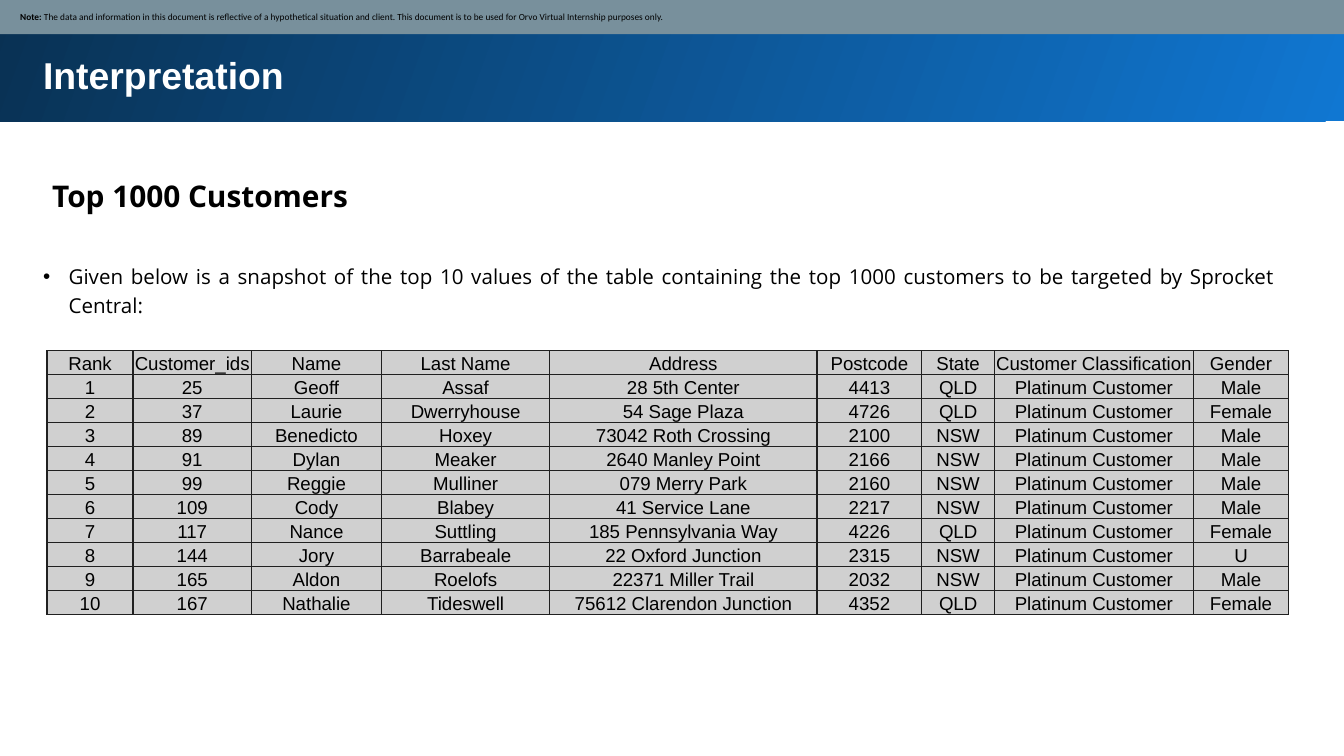
from dataclasses import dataclass

from lxml import etree
from pptx import Presentation
from pptx.dml.color import RGBColor
from pptx.enum.shapes import MSO_SHAPE
from pptx.enum.text import MSO_ANCHOR, MSO_AUTO_SIZE, PP_ALIGN
from pptx.oxml.ns import qn
from pptx.util import Inches, Pt

RECTANGLE = MSO_SHAPE.RECTANGLE
TOP, MIDDLE, BOTTOM = MSO_ANCHOR.TOP, MSO_ANCHOR.MIDDLE, MSO_ANCHOR.BOTTOM
LEFT, CENTER, JUSTIFY = PP_ALIGN.LEFT, PP_ALIGN.CENTER, PP_ALIGN.JUSTIFY
NO_AUTOFIT = MSO_AUTO_SIZE.NONE
SLIDE_WIDTH = Inches(10)
SLIDE_HEIGHT = SLIDE_WIDTH * 9 // 16


@dataclass(frozen=True)
class Theme:
    """Colours, fonts and type sizes of the slide."""
    band_bright: str = "1077D2"
    band_dark: str = "093153"
    note_bar: str = "78909C"
    cell: str = "D0D0D0"
    border: str = "202020"
    ink: str = "000000"
    light: str = "FFFFFF"
    title_font: str = "Arial"
    body_font: str = "Open Sans"
    note_font: str = "Calibri"
    title_size: float = 20
    heading_size: float = 16
    body_size: float = 11
    table_size: float = 10
    note_size: float = 5
    border_width: float = 0.75


THEME = Theme()
NOTE = (
    ("Note: ", True),
    ("The data and information in this document is reflective of a hypothetical "
     "situation and client. This document is to be used for Orvo Virtual "
     "Internship purposes only.", False),
)
INTRO = ("Given below is a snapshot of the top 10 values of the table containing "
         "the top 1000 customers to be targeted by Sprocket Central:")
HEADERS = ("Rank", "Customer_ids", "Name", "Last Name", "Address", "Postcode",
           "State", "Customer Classification", "Gender")
COLUMN_WEIGHTS = (0.64, 0.88, 0.97, 1.25, 1.99, 0.78, 0.54, 1.48, 0.71)
CLASSIFICATION = "Platinum Customer"
CUSTOMERS = (
    ("25", "Geoff", "Assaf", "28 5th Center", "4413", "QLD", "Male"),
    ("37", "Laurie", "Dwerryhouse", "54 Sage Plaza", "4726", "QLD", "Female"),
    ("89", "Benedicto", "Hoxey", "73042 Roth Crossing", "2100", "NSW", "Male"),
    ("91", "Dylan", "Meaker", "2640 Manley Point", "2166", "NSW", "Male"),
    ("99", "Reggie", "Mulliner", "079 Merry Park", "2160", "NSW", "Male"),
    ("109", "Cody", "Blabey", "41 Service Lane", "2217", "NSW", "Male"),
    ("117", "Nance", "Suttling", "185 Pennsylvania Way", "4226", "QLD", "Female"),
    ("144", "Jory", "Barrabeale", "22 Oxford Junction", "2315", "NSW", "U"),
    ("165", "Aldon", "Roelofs", "22371 Miller Trail", "2032", "NSW", "Male"),
    ("167", "Nathalie", "Tideswell", "75612 Clarendon Junction", "4352", "QLD", "Female"),
)


def area(left, top, width, height):
    """Turn percentages of the slide's size into lengths."""
    return (int(SLIDE_WIDTH * left / 100), int(SLIDE_HEIGHT * top / 100),
            int(SLIDE_WIDTH * width / 100), int(SLIDE_HEIGHT * height / 100))


def write(frame, spans, *, font, size, color=THEME.ink, align=LEFT, spacing=1.0):
    """Write (text, bold) spans as the one paragraph of a text frame."""
    para = frame.paragraphs[0]
    para.alignment, para.line_spacing = align, spacing
    para.space_before = para.space_after = Pt(0)
    for text, bold in spans:
        span = para.add_run()
        span.text = text
        span.font.name, span.font.size, span.font.bold = font, Pt(size), bold
        span.font.color.rgb = RGBColor.from_string(color)
    return para


def set_frame(frame, anchor=TOP, inset=0.1):
    """Set wrapping, anchor and equal insets of a text frame."""
    frame.word_wrap, frame.auto_size = True, NO_AUTOFIT
    frame.vertical_anchor = anchor
    frame.margin_left = frame.margin_right = Inches(inset)
    frame.margin_top = frame.margin_bottom = Inches(inset)


def add_bar(page, place):
    """Add a rectangle without line and shadow."""
    bar = page.shapes.add_shape(RECTANGLE, *place)
    bar.shadow.inherit = False
    bar.line.fill.background()
    return bar


def add_title_band(page):
    """Add the gradient band behind the title."""
    fill = add_bar(page, area(-0.2, -0.36, 100.5, 16.37)).fill
    fill.gradient()
    fill.gradient_angle = 160
    for stop, color in zip(fill.gradient_stops, (THEME.band_bright, THEME.band_dark)):
        stop.color.rgb = RGBColor.from_string(color)


def add_note_bar(page):
    """Add the bar with the note along the top edge."""
    bar = add_bar(page, area(-0.1, -0.1, 100.3, 4.63))
    bar.fill.solid()
    bar.fill.fore_color.rgb = RGBColor.from_string(THEME.note_bar)
    set_frame(bar.text_frame, MIDDLE, 0.05)
    bar.text_frame.margin_left = Inches(0.16)
    write(bar.text_frame, NOTE, font=THEME.note_font, size=THEME.note_size)


def place_placeholder(box, place):
    """Move a placeholder and bring it to the front."""
    box.left, box.top, box.width, box.height = place
    box.element.getparent().append(box.element)
    set_frame(box.text_frame)
    return box.text_frame


def add_heading(page, text):
    """Add the heading above the list."""
    frame = page.shapes.add_textbox(*area(2.9, 21, 72.6, 8.72)).text_frame
    set_frame(frame)
    write(frame, [(text, True)], font=THEME.body_font, size=THEME.heading_size,
          spacing=1.15)


def set_bullet(para, indent):
    """Give a paragraph a hanging bullet."""
    props = para._p.get_or_add_pPr()
    props.set("marL", str(Inches(indent)))
    props.set("indent", str(-Inches(indent)))
    etree.SubElement(props, qn("a:buChar"), char="•")


def format_cell(cell, text):
    """Fill, border and write one table cell."""
    cell.vertical_anchor = BOTTOM
    cell.margin_left = cell.margin_right = cell.margin_top = Inches(0.01)
    cell.margin_bottom = 0
    props = cell._tc.get_or_add_tcPr()
    for side in ("a:lnL", "a:lnR", "a:lnT", "a:lnB"):
        line = etree.SubElement(props, qn(side), w=str(Pt(THEME.border_width)))
        solid = etree.SubElement(line, qn("a:solidFill"))
        etree.SubElement(solid, qn("a:srgbClr"), val=THEME.border)
    cell.fill.solid()
    cell.fill.fore_color.rgb = RGBColor.from_string(THEME.cell)
    write(cell.text_frame, [(text, False)], font=THEME.title_font,
          size=THEME.table_size, align=CENTER)


def add_customer_table(page, rows):
    """Add the customer table with weighted columns and equal rows."""
    place = area(3.5, 46.4, 92.4, 34.95)
    table = page.shapes.add_table(len(rows), len(HEADERS), *place).table
    table.first_row = table.horz_banding = False
    for column, weight in zip(table.columns, COLUMN_WEIGHTS):
        column.width = int(place[2] * weight / sum(COLUMN_WEIGHTS))
    for row, texts in zip(table.rows, rows):
        row.height = place[3] // len(rows)
        for cell, text in zip(row.cells, texts):
            format_cell(cell, text)


def main():
    """Build and save the slide."""
    deck = Presentation()
    deck.slide_width, deck.slide_height = SLIDE_WIDTH, SLIDE_HEIGHT
    page = deck.slides.add_slide(deck.slide_layouts[1])
    title, body = page.placeholders

    add_title_band(page)
    write(place_placeholder(title, area(2.2, 5.16, 93.7, 14.77)),
          [("Interpretation", True)], font=THEME.title_font,
          size=THEME.title_size, color=THEME.light)
    add_note_bar(page)
    add_heading(page, "Top 1000 Customers")
    intro = write(place_placeholder(body, area(2.2, 32.7, 93.7, 10.85)),
                  [(INTRO, False)], font=THEME.body_font, size=THEME.body_size,
                  align=JUSTIFY, spacing=1.15)
    set_bullet(intro, 0.19)
    ranked = [(str(rank), *customer[:-1], CLASSIFICATION, customer[-1])
              for rank, customer in enumerate(CUSTOMERS, 1)]
    add_customer_table(page, [HEADERS, *ranked])
    deck.save("out.pptx")


main()
